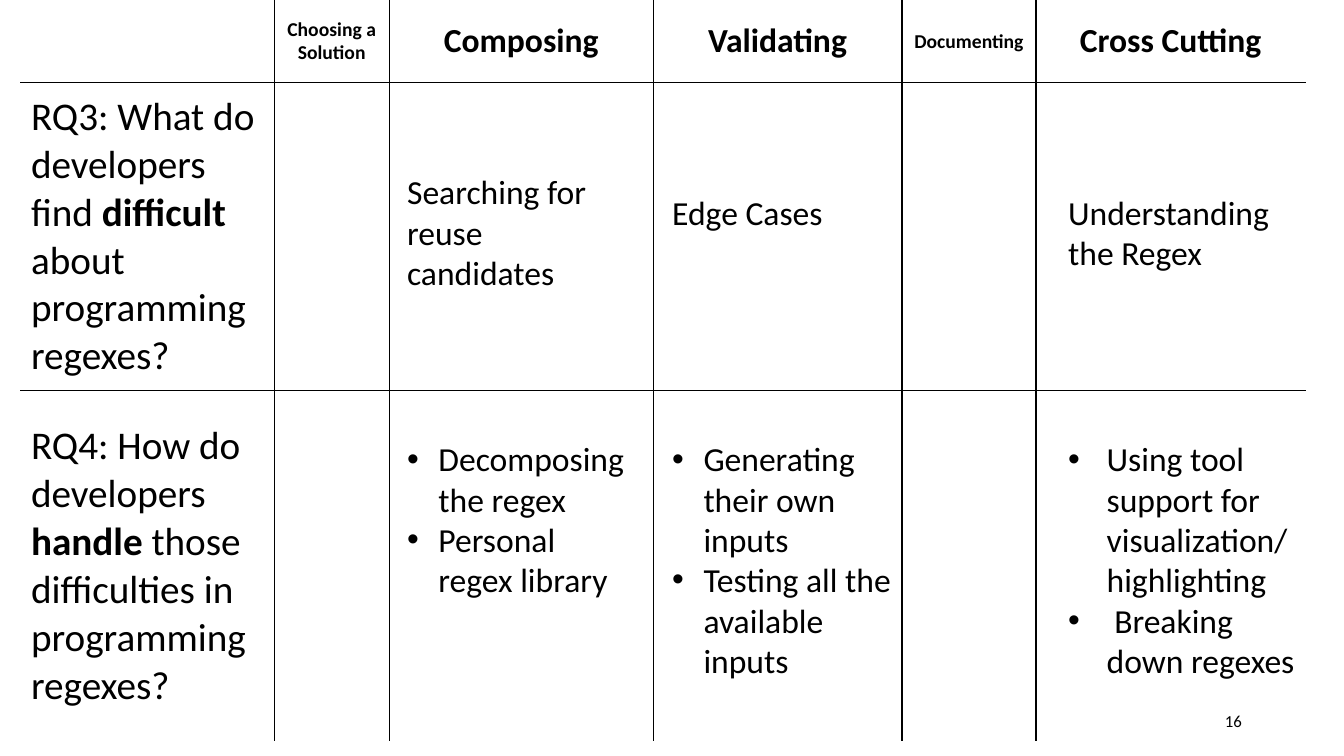
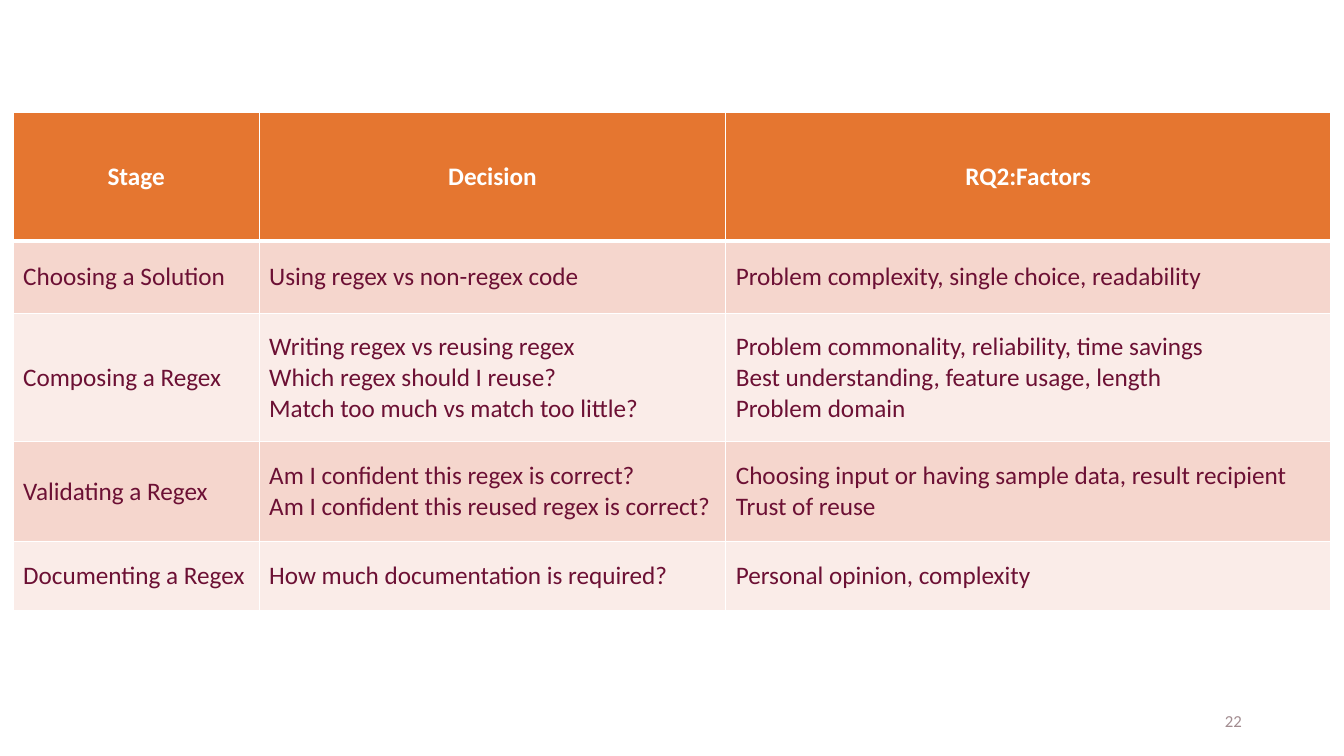
import pptx
import pptx.dml.color
import pptx.enum.text
import pptx.oxml
import pptx.oxml.ns
import pptx.util
from pptx.util import Cm

COLORS = {
    "ink": "000000",
    "paper": "FFFFFF",
    "header": "E57630",
    "band_dark": "F5D6CD",
    "band_light": "FAECE8",
    "wine": "6C1034",
    "muted": "A28C90",
}
ALIGN = pptx.enum.text.PP_ALIGN
MIDDLE = pptx.enum.text.MSO_ANCHOR.MIDDLE


class Deck:
    font_name = "Calibri"

    def __init__(self):
        self.prs = pptx.Presentation()
        self.prs.slide_width, self.prs.slide_height = Cm(33.87), Cm(19.05)
        self.slide = None

    def new_slide(self, number, color):
        self.slide = self.prs.slides.add_slide(self.prs.slide_layouts[6])
        frame = self.text_frame(23.93, 17.65, 7.62, 1.01)
        frame.vertical_anchor = MIDDLE
        self.set_text(frame, [str(number)], 12, color, align=ALIGN.RIGHT)

    def text_frame(self, left, top, width, height):
        box = self.slide.shapes.add_textbox(Cm(left), Cm(top), Cm(width), Cm(height))
        box.text_frame.word_wrap = True
        return box.text_frame

    def set_text(self, frame, lines, size, color="ink", bold=False, align=None, hang=None):
        """Fill a frame; *starred* words are bold, and hang (cm) makes bullets."""
        for index, line in enumerate(lines):
            paragraph = frame.paragraphs[0] if index == 0 else frame.add_paragraph()
            if hang:
                self.bullet(paragraph, hang)
            if align is not None:
                paragraph.alignment = align
            paragraph.font.name = self.font_name
            paragraph.font.size = pptx.util.Pt(size)
            for part, words in enumerate(line.split("*")):
                run = paragraph.add_run()
                run.text = words
                run.font.bold = bold or part % 2 == 1
                run.font.color.rgb = pptx.dml.color.RGBColor.from_string(COLORS[color])

    def bullet(self, paragraph, hang):
        properties = paragraph._p.get_or_add_pPr()
        properties.set("marL", str(Cm(hang)))
        properties.set("indent", str(-Cm(hang)))
        for tag, key, value in (("buFont", "typeface", "Arial"), ("buChar", "char", "•")):
            properties.append(pptx.oxml.parse_xml(
                f'<a:{tag} {pptx.oxml.ns.nsdecls("a")} {key}="{value}"/>'))

    def note(self, left, top, lines, rows, hang=None):
        """Place a growing text block over the table, sized for its rows of text."""
        frame = self.text_frame(left, top, 6.25, 0.25 + 1.02 * rows)
        frame.auto_size = pptx.enum.text.MSO_AUTO_SIZE.SHAPE_TO_FIT_TEXT
        self.set_text(frame, lines, 24, hang=hang)

    def table(self, left, top, widths, heights):
        table = self.slide.shapes.add_table(
            len(heights), len(widths), Cm(left), Cm(top),
            Cm(sum(widths)), Cm(sum(heights))).table
        table.first_row = table.horz_banding = False
        for column, width in zip(table.columns, widths):
            column.width = Cm(width)
        for row, height in zip(table.rows, heights):
            row.height = Cm(height)
        for cell in table.iter_cells():
            cell.vertical_anchor = MIDDLE
        return table

    def style_cell(self, cell, borders, fill=None):
        """Borders maps the sides L, R, T, B to (color, points)."""
        properties = cell._tc.get_or_add_tcPr()
        for side in "LRTB":
            color, points = borders[side]
            properties.append(pptx.oxml.parse_xml(
                f'<a:ln{side} {pptx.oxml.ns.nsdecls("a")} w="{pptx.util.Pt(points)}">'
                f'<a:solidFill><a:srgbClr val="{COLORS[color]}"/></a:solidFill>'
                f'</a:ln{side}>'))
        if fill:
            cell.fill.solid()
            cell.fill.fore_color.rgb = pptx.dml.color.RGBColor.from_string(COLORS[fill])
        else:
            cell.fill.background()


def build_difficulties(deck):
    deck.new_slide(16, "ink")
    stages = [("Choosing a Solution", 14), ("Composing", 24), ("Validating", 24),
              ("Documenting", 14), ("Cross Cutting", 24)]
    questions = ["RQ3: What do developers find *difficult* about programming regexes?",
                 "RQ4: How do developers *handle* those difficulties in programming regexes?"]
    grid = deck.table(0.53, 0, [6.38, 2.9, 6.65, 6.27, 3.38, 6.78], [2.08, 7.77, 8.84])
    last_row, last_column = len(questions), len(stages)
    for row in range(last_row + 1):
        for column in range(last_column + 1):
            outer = {"L": column == 0, "R": column == last_column,
                     "T": row == 0, "B": row == last_row}
            deck.style_cell(grid.cell(row, column), {
                side: ("paper" if edge else "ink", 1) for side, edge in outer.items()})
    for column, (stage, size) in enumerate(stages, 1):
        deck.set_text(grid.cell(0, column).text_frame, [stage], size,
                      bold=True, align=ALIGN.CENTER)
    for row, question in enumerate(questions, 1):
        deck.set_text(grid.cell(row, 0).text_frame, [question], 28)

    composing, validating, cross_cutting = 10.01, 16.69, 26.67
    deck.note(composing, 4.19, ["Searching for reuse candidates"], 3)
    deck.note(validating, 4.7, ["Edge Cases"], 1)
    deck.note(cross_cutting, 4.7, ["Understanding the Regex"], 2)
    handling_top = 10.92
    deck.note(composing, handling_top,
              ["Decomposing the regex", "Personal regex library"], 4, hang=0.79)
    deck.note(validating, handling_top,
              ["Generating their own inputs", "Testing all the available inputs"], 6, hang=0.79)
    deck.note(cross_cutting, handling_top,
              ["Using tool support for visualization/ highlighting",
               " Breaking down regexes"], 6, hang=0.97)


def build_factors(deck):
    deck.new_slide(22, "muted")
    rows = [
        (["Stage"], ["Decision"], ["RQ2:Factors"]),
        (["Choosing a Solution"], ["Using regex vs non-regex code"],
         ["Problem complexity, single choice, readability"]),
        (["Composing a Regex"],
         ["Writing regex vs reusing regex", "Which regex should I reuse?",
          "Match too much vs match too little?"],
         ["Problem commonality, reliability, time savings",
          "Best understanding, feature usage, length", "Problem domain"]),
        (["Validating a Regex"],
         ["Am I confident this regex is correct?",
          "Am I confident this reused regex is correct?"],
         ["Choosing input or having sample data, result recipient", "Trust of reuse"]),
        (["Documenting a Regex"], ["How much documentation is required?"],
         ["Personal opinion, complexity"]),
    ]
    grid = deck.table(0.33, 2.84, [6.2, 11.76, 15.24], [3.23, 1.83, 3.23, 2.51, 1.75])
    for row, entries in enumerate(rows):
        is_header = row == 0
        fill = "header" if is_header else ("band_light", "band_dark")[row % 2]
        borders = {side: ("paper", 1) for side in "LRTB"}
        if row < 2:
            borders["B" if is_header else "T"] = ("paper", 3)
        for column, lines in enumerate(entries):
            cell = grid.cell(row, column)
            deck.style_cell(cell, borders, fill)
            deck.set_text(cell.text_frame, lines, 18, "paper" if is_header else "wine",
                          bold=is_header, align=ALIGN.CENTER if is_header else None)


def main():
    deck = Deck()
    build_difficulties(deck)
    build_factors(deck)
    deck.prs.save("out.pptx")


if __name__ == "__main__":
    main()
